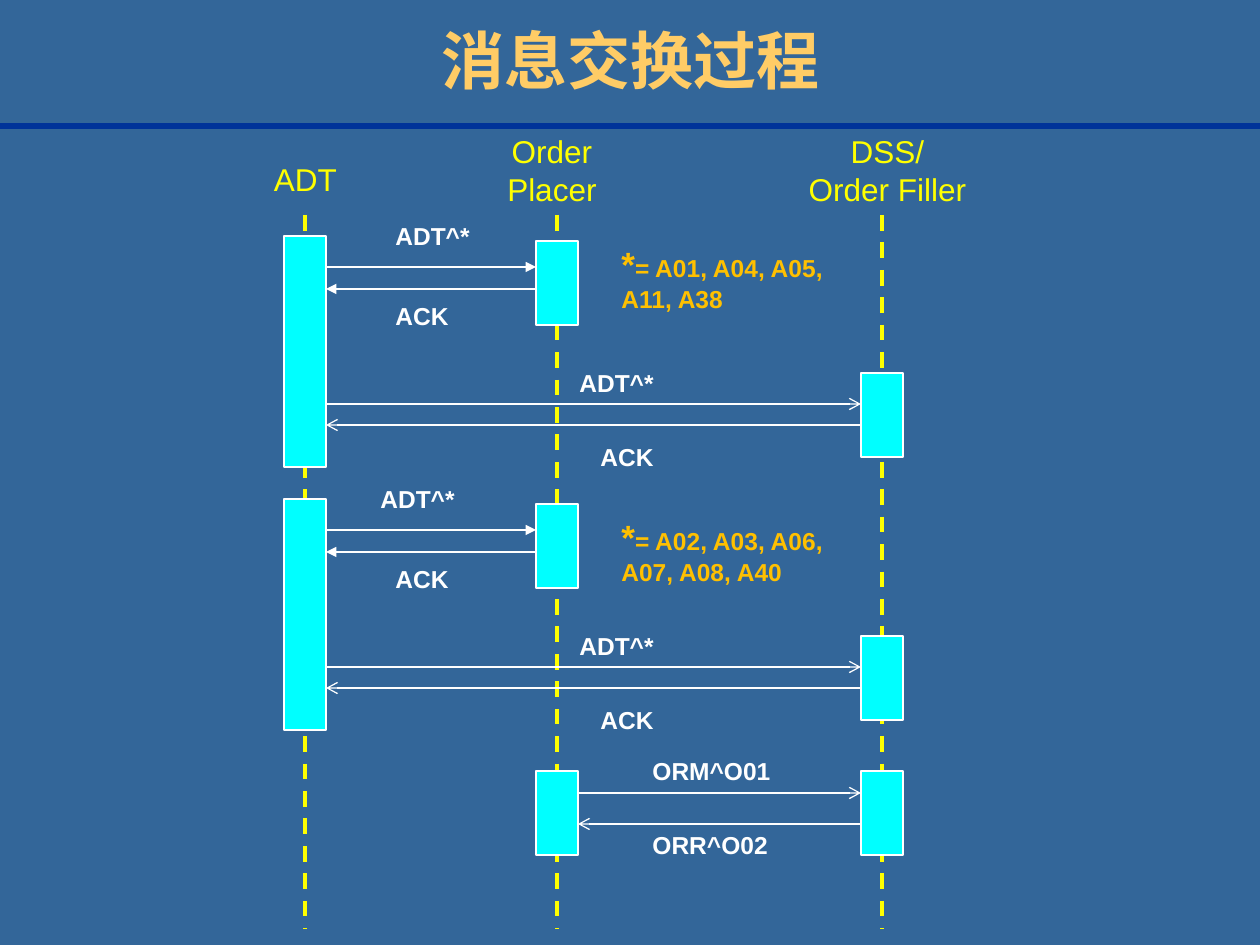
from lxml import etree
from pptx import Presentation
from pptx.dml.color import RGBColor
from pptx.enum.dml import MSO_LINE
from pptx.enum.shapes import MSO_CONNECTOR, MSO_SHAPE
from pptx.enum.text import MSO_ANCHOR, MSO_AUTO_SIZE, PP_ALIGN
from pptx.oxml.ns import qn
from pptx.util import Pt

EMU_PER_PX = 914400 / 126
COLORS = {
    "background": "336699",
    "rule": "003399",
    "title": "FFCC66",
    "lifeline": "FFFF00",
    "bar": "00FFFF",
    "message": "FFFFFF",
    "note": "FFC000",
}
# Lifeline centres
ADT, PLACER, FILLER = 305, 557, 882
BAR_WIDTH = 42
BAR_HEIGHT = 84
HALF_BAR = BAR_WIDTH // 2
BLOCK_STEP = 263


def px(length):
    return round(length * EMU_PER_PX)


def color(name):
    return RGBColor.from_string(COLORS[name])


def add_text(slide, text, left, top, width, height, *, size=14, fill="message",
             bold=True, align=PP_ALIGN.LEFT, anchor=MSO_ANCHOR.TOP,
             wrap=False, grow=True, lead_size=None):
    """Each line is a paragraph; lead_size enlarges the first character."""
    box = slide.shapes.add_textbox(px(left), px(top), px(width), px(height))
    frame = box.text_frame
    frame.word_wrap = wrap
    frame.auto_size = MSO_AUTO_SIZE.SHAPE_TO_FIT_TEXT if grow else MSO_AUTO_SIZE.NONE
    frame.vertical_anchor = anchor
    for index, line in enumerate(text.split("\n")):
        paragraph = frame.paragraphs[0] if index == 0 else frame.add_paragraph()
        paragraph.alignment = align
        pieces = [(line, size)]
        if lead_size and index == 0:
            pieces = [(line[:1], lead_size), (line[1:], size)]
        for piece, points in pieces:
            run = paragraph.add_run()
            run.text = piece
            run.font.name = "Arial"
            run.font.size = Pt(points)
            run.font.bold = bold
            run.font.color.rgb = color(fill)


def add_line(slide, x1, y1, x2, y2, *, stroke="message", weight=0.75,
             dash=None, arrow=None):
    connector = slide.shapes.add_connector(
        MSO_CONNECTOR.STRAIGHT, px(x1), px(y1), px(x2), px(y2))
    connector.line.color.rgb = color(stroke)
    connector.line.width = Pt(weight)
    if dash:
        connector.line.dash_style = dash
    if arrow:
        outline = connector.line._get_or_add_ln()
        etree.SubElement(outline, qn("a:tailEnd"), type=arrow)
    etree.SubElement(connector._element.spPr, qn("a:effectLst"))


def add_bar(slide, center, top, height=BAR_HEIGHT):
    bar = slide.shapes.add_shape(MSO_SHAPE.RECTANGLE, px(center - HALF_BAR),
                                 px(top), px(BAR_WIDTH), px(height))
    bar.shadow.inherit = False
    bar.fill.solid()
    bar.fill.fore_color.rgb = color("bar")
    bar.line.color.rgb = color("message")
    bar.line.width = Pt(0.75)


def add_exchange(slide, left, right, request_y, reply_y, arrow):
    """Request to the right, reply back to the left, between two bars."""
    start, end = left + HALF_BAR, right - HALF_BAR
    add_line(slide, start, request_y, end, request_y, arrow=arrow)
    add_line(slide, end, reply_y, start, reply_y, arrow=arrow)


def add_adt_block(slide, offset, first_label_left, note, note_top):
    # ADT to Order Placer
    add_bar(slide, ADT, 236 + offset, 231)
    add_bar(slide, PLACER, 241 + offset)
    add_exchange(slide, ADT, PLACER, 267 + offset, 289 + offset, "triangle")
    add_text(slide, "ADT^*", first_label_left, 215 + offset, 101, 43)
    add_text(slide, "ACK", 383, 295 + offset, 79, 43)
    # ADT to Order Filler
    add_bar(slide, FILLER, 373 + offset)
    add_exchange(slide, ADT, FILLER, 404 + offset, 425 + offset, "arrow")
    add_text(slide, "ADT^*", 567, 362 + offset, 101, 43)
    add_text(slide, "ACK", 588, 436 + offset, 79, 43)
    add_text(slide, note, 609, note_top, 228, 84, fill="note", lead_size=20)


def main():
    presentation = Presentation()
    presentation.slide_width = px(1260)
    presentation.slide_height = px(945)
    slide = presentation.slides.add_slide(presentation.slide_layouts[6])
    slide.background.fill.solid()
    slide.background.fill.fore_color.rgb = color("background")

    # Title and rule
    add_line(slide, 0, 126, 1260, 126, stroke="rule", weight=3)
    add_text(slide, "消息交换过程", 95, 0, 1071, 118, size=36, fill="title",
             align=PP_ALIGN.CENTER, anchor=MSO_ANCHOR.MIDDLE, wrap=True, grow=False)

    # Lifelines with their headings
    for center, heading, top, width, height in (
            (ADT, "ADT", 154, 89, 50),
            (PLACER, "Order\nPlacer", 126, 116, 89),
            (FILLER, "DSS/\nOrder Filler", 126, 221, 89)):
        add_line(slide, center, 215, center, 929, stroke="lifeline",
                 weight=2.25, dash=MSO_LINE.DASH)
        add_text(slide, heading, center + 5 - 5 * (center != FILLER) - width // 2 if center != PLACER
                 else 494, top, width, height, size=18, fill="lifeline",
                 bold=False, align=PP_ALIGN.CENTER, wrap=center == FILLER)

    # ADT messages
    add_adt_block(slide, 0, 383, "*= A01, A04, A05,\nA11, A38", 236)
    add_adt_block(slide, BLOCK_STEP, 368, "*= A02, A03, A06,\nA07, A08, A40", 509)

    # Order messages
    for center in (PLACER, FILLER):
        add_bar(slide, center, 771)
    add_exchange(slide, PLACER, FILLER, 793, 824, "arrow")
    add_text(slide, "ORM^O01", 640, 750, 158, 43, wrap=True)
    add_text(slide, "ORR^O02", 640, 824, 158, 43, wrap=True)

    presentation.save("out.pptx")


if __name__ == "__main__":
    main()
